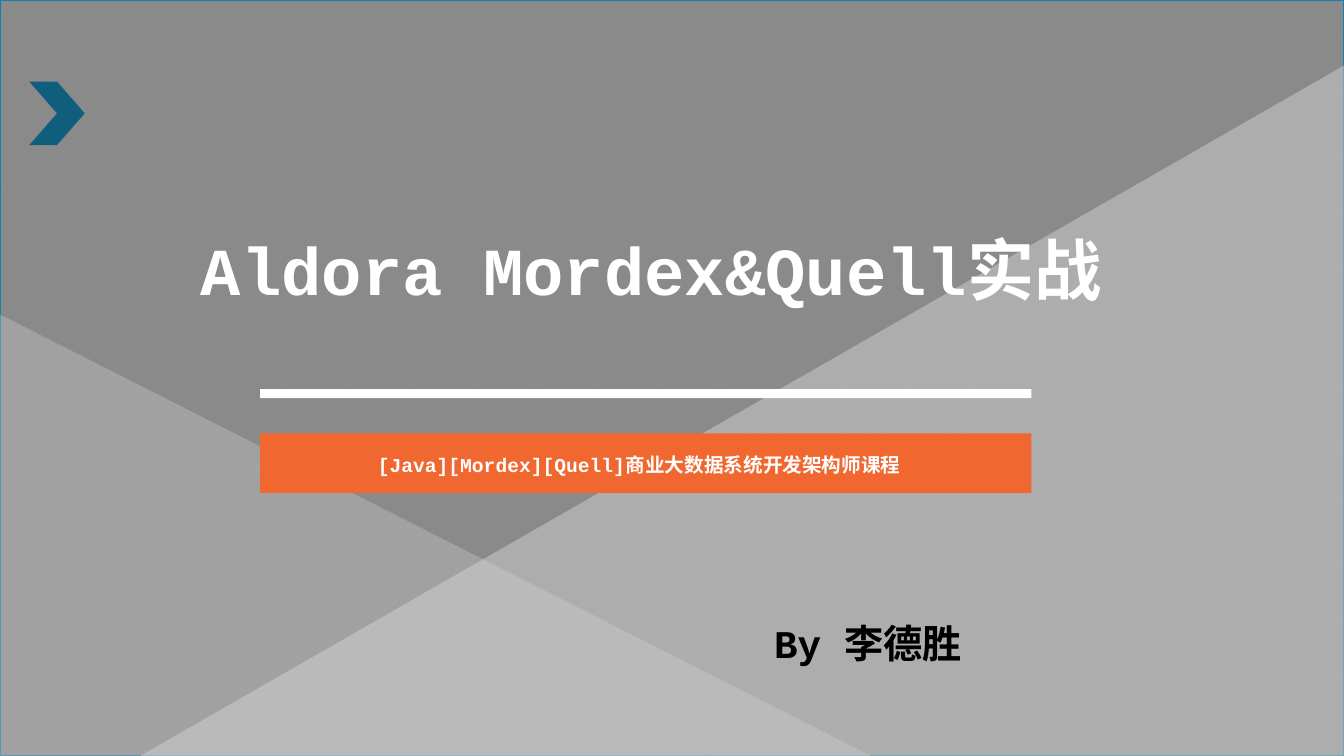
"""Build the title slide of a big data course."""
from lxml.etree import SubElement
from pptx import Presentation
from pptx.dml.color import RGBColor
from pptx.enum.dml import MSO_PATTERN_TYPE as Pattern
from pptx.enum.shapes import MSO_SHAPE as Shape
from pptx.enum.text import MSO_AUTO_SIZE as AutoSize, PP_ALIGN as Align
from pptx.oxml.ns import qn
from pptx.util import Inches, Pt

COLORS = {name: RGBColor.from_string(value) for name, value in {
    "stripe": "F2F2F2", "white": "FFFFFF", "black": "000000", "chevron": "1CADE4",
    "frame": "1580A9", "triangle": "D9D9D9", "banner": "F06730"}.items()}

deck = Presentation()
deck.slide_width, deck.slide_height = Inches(13.33), Inches(7.5)
page = deck.slides.add_slide(deck.slide_layouts[6])

backdrop = page.background.fill
backdrop.patterned()
backdrop.pattern = Pattern.LIGHT_UPWARD_DIAGONAL
backdrop.fore_color.rgb = COLORS["stripe"]
backdrop.back_color.rgb = COLORS["white"]


def place(left, top, width, height):
    """Turn percentages of the slide into lengths."""
    across, down = deck.slide_width / 100, deck.slide_height / 100
    return int(left * across), int(top * down), int(width * across), int(height * down)


def add_block(kind, area, color, opacity=100):
    """Add a filled shape without outline or shadow."""
    block = page.shapes.add_shape(kind, *place(*area))
    block.shadow.inherit = False
    block.line.fill.background()
    block.fill.solid()
    block.fill.fore_color.rgb = COLORS[color]
    if opacity < 100:
        tint = block.fill._xPr.find(".//" + qn("a:srgbClr"))
        SubElement(tint, qn("a:alpha"), val=str(opacity * 1000))
    return block


add_block(Shape.CHEVRON, (2.18, 10.8, 4.13, 8.4), "chevron")
veil = add_block(Shape.RECTANGLE, (0, 0, 100, 100), "black", 45)
veil.line.color.rgb = COLORS["frame"]
veil.line.width = Pt(1)

add_block(Shape.RIGHT_TRIANGLE, (0, 41.6, 64.82, 58.4), "triangle", 30)
right_triangle = add_block(Shape.RIGHT_TRIANGLE, (10.43, 8.67, 89.57, 91.33), "triangle", 45)
right_triangle._element.spPr.find(qn("a:xfrm")).set("flipH", "1")

for top, height, color in [(57.33, 7.87, "banner"), (51.47, 1.2, "white")]:
    add_block(Shape.RECTANGLE, (19.35, top, 57.39, height), color)

captions = [
    ("Aldora Mordex&Quell实战", (10.43, 29.6, 76.07, 12.13), 48, "white", Align.CENTER, 1),
    ("[Java][Mordex][Quell]商业大数据系统开发架构师课程", (5.63, 55.47, 83.87, 8.27),
     14, "white", Align.CENTER, 2.2),
    ("By 李德胜", (56.86, 81.2, 18.98, 7.6), 28, "black", Align.LEFT, 1),
]
for wording, area, size, color, align, spacing in captions:
    frame = page.shapes.add_textbox(*place(*area)).text_frame
    frame.word_wrap = True
    frame.auto_size = AutoSize.SHAPE_TO_FIT_TEXT
    para = frame.paragraphs[0]
    para.text = wording
    para.alignment = align
    para.line_spacing = spacing
    para.font.name = "Courier New"
    para.font.size = Pt(size)
    para.font.bold = True
    para.font.color.rgb = COLORS[color]

deck.save("out.pptx")
